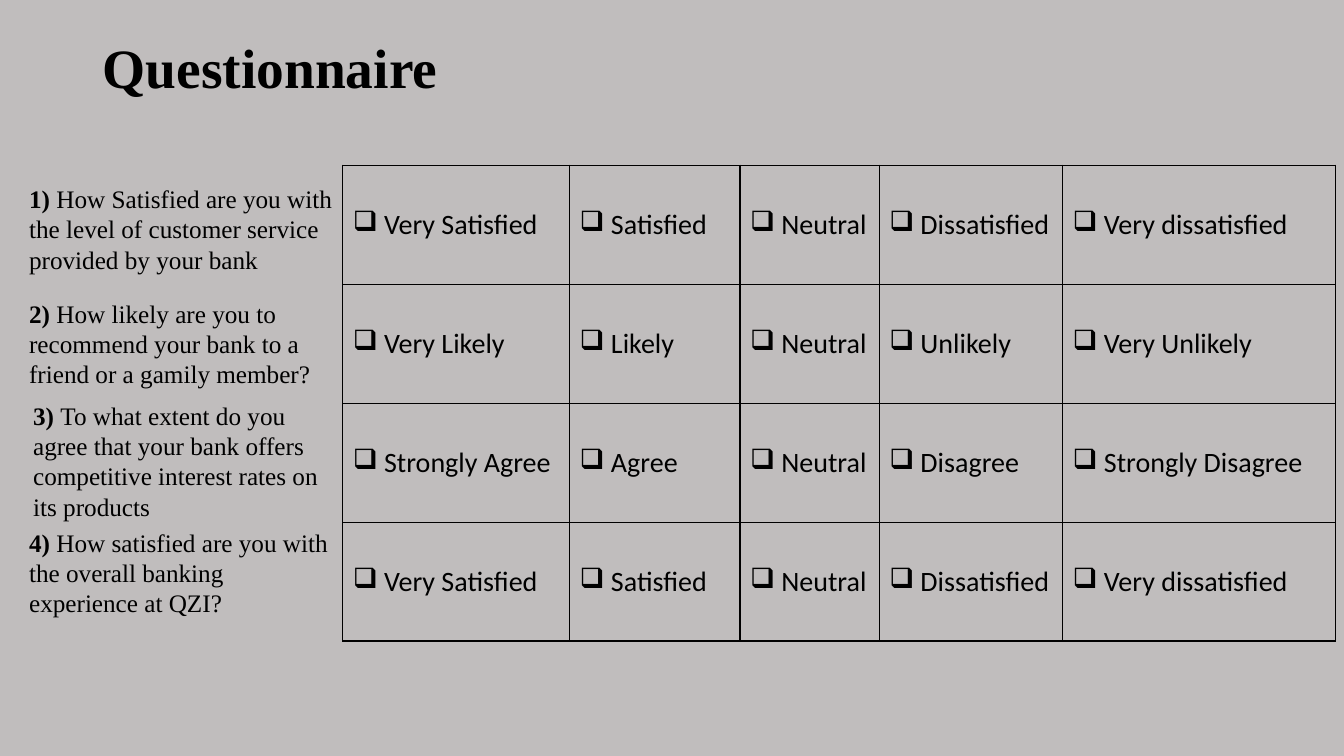
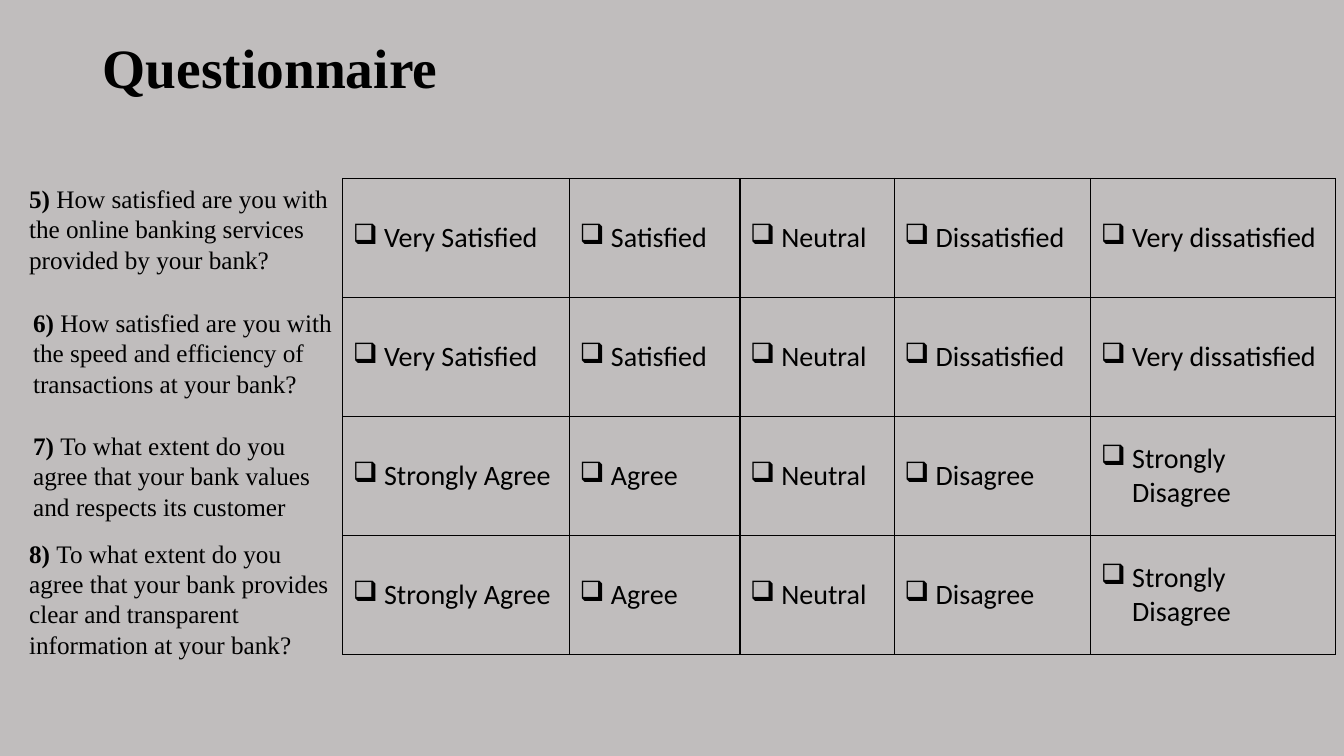
from dataclasses import dataclass

from lxml import etree
from pptx import Presentation
from pptx.dml.color import RGBColor
from pptx.enum import text
from pptx.oxml import ns
from pptx.util import Inches, Pt


@dataclass(frozen=True)
class Theme:
    background: RGBColor = RGBColor(0xC0, 0xBD, 0xBD)
    ink: RGBColor = RGBColor(0, 0, 0)
    serif: str = "Times New Roman"
    sans: str = "Calibri"
    title_size: float = 39.6
    question_size: float = 18
    answer_size: float = 20
    border_width: float = 1
    bullet: str = "❑"
    bullet_indent: float = 0.31


THEME = Theme()
TITLE_BOX = (0.92, 0.3, 3.75, 0.79)
QUESTION_WIDTH = 3.21
TABLE_LEFT = 3.4
ROW_HEIGHT = 1.18

SATISFACTION = ["Very Satisfied", "Satisfied", "Neutral", "Dissatisfied", "Very dissatisfied"]
LIKELIHOOD = ["Very Likely", "Likely", "Neutral", "Unlikely", "Very Unlikely"]
AGREEMENT = ["Strongly Agree", "Agree", "Neutral", "Disagree", "Strongly Disagree"]

# Each question: left, top, height, wording, answer scale
PAGES = [
    {
        "first_number": 1,
        "table_top": 1.64,
        "columns": [2.25, 1.69, 1.38, 1.82, 2.71],
        "questions": [
            (0.19, 1.77, 1.01, "How Satisfied are you with the level of customer service "
             "provided by your bank", SATISFACTION),
            (0.19, 2.91, 1.01, "How likely are you to recommend your bank to a friend "
             "or a gamily member?", LIKELIHOOD),
            (0.23, 3.92, 1.31, "To what extent do you agree that your bank offers "
             "competitive interest rates on its products", AGREEMENT),
            (0.19, 5.18, 1.01, "How satisfied are you with the overall banking "
             "experience at QZI?", SATISFACTION),
        ],
    },
    {
        "first_number": 5,
        "table_top": 1.77,
        "columns": [2.25, 1.69, 1.53, 1.95, 2.43],
        "questions": [
            (0.19, 1.77, 1.01, "How satisfied are you with the online banking services "
             "provided by your bank?", SATISFACTION),
            (0.23, 3, 1.01, "How satisfied are you with the speed and efficiency of "
             "transactions at your bank?", SATISFACTION),
            (0.23, 4.22, 1.01, "To what extent do you agree that your bank values and "
             "respects its customer", AGREEMENT),
            (0.19, 5.29, 1.31, "To what extent do you agree that your bank provides clear "
             "and transparent information at your bank?", AGREEMENT),
        ],
    },
]


def style_font(font, name, size):
    font.name = name
    font.size = Pt(size)
    font.color.rgb = THEME.ink


def add_text_box(slide, box):
    frame = slide.shapes.add_textbox(*map(Inches, box)).text_frame
    frame.word_wrap = True
    return frame


def add_title(slide, box, wording):
    frame = add_text_box(slide, box)
    frame.vertical_anchor = text.MSO_ANCHOR.MIDDLE
    paragraph = frame.paragraphs[0]
    paragraph.text = wording
    paragraph.line_spacing = 0.9
    style_font(paragraph.font, THEME.serif, THEME.title_size)
    paragraph.font.bold = True


def add_question(slide, box, number, wording):
    frame = add_text_box(slide, box)
    frame.auto_size = text.MSO_AUTO_SIZE.SHAPE_TO_FIT_TEXT
    paragraph = frame.paragraphs[0]
    style_font(paragraph.font, THEME.serif, THEME.question_size)
    number_run = paragraph.add_run()
    number_run.text = f"{number}) "
    number_run.font.bold = True
    paragraph.add_run().text = wording


def set_bullet(paragraph):
    properties = paragraph._p.get_or_add_pPr()
    indent = Inches(THEME.bullet_indent)
    properties.set("marL", str(indent))
    properties.set("indent", str(-indent))
    etree.SubElement(properties, ns.qn("a:buChar"), char=THEME.bullet)


def set_borders(cell):
    properties = cell._tc.get_or_add_tcPr()
    for side in ("lnL", "lnR", "lnT", "lnB"):
        line = etree.SubElement(properties, ns.qn(f"a:{side}"), w=str(Pt(THEME.border_width)))
        fill = etree.SubElement(line, ns.qn("a:solidFill"))
        etree.SubElement(fill, ns.qn("a:srgbClr"), val=str(THEME.ink))


def fill_answer(cell, wording):
    set_borders(cell)
    cell.fill.background()
    cell.vertical_anchor = text.MSO_ANCHOR.MIDDLE
    paragraph = cell.text_frame.paragraphs[0]
    paragraph.text = wording
    set_bullet(paragraph)
    style_font(paragraph.font, THEME.sans, THEME.answer_size)


def add_answer_table(slide, left, top, columns, scales):
    table = slide.shapes.add_table(
        len(scales), len(columns), Inches(left), Inches(top),
        Inches(sum(columns)), Inches(ROW_HEIGHT * len(scales))).table
    table.first_row = table.horz_banding = False
    for column, width in zip(table.columns, columns):
        column.width = Inches(width)
    for row, scale in zip(table.rows, scales):
        row.height = Inches(ROW_HEIGHT)
        for cell, answer in zip(row.cells, scale):
            fill_answer(cell, answer)


def add_questionnaire_slide(presentation, page):
    slide = presentation.slides.add_slide(presentation.slide_layouts[6])
    slide.background.fill.solid()
    slide.background.fill.fore_color.rgb = THEME.background
    add_title(slide, TITLE_BOX, "Questionnaire")
    for number, question in enumerate(page["questions"], page["first_number"]):
        left, top, height, wording, _ = question
        add_question(slide, (left, top, QUESTION_WIDTH, height), number, wording)
    scales = [question[-1] for question in page["questions"]]
    add_answer_table(slide, TABLE_LEFT, page["table_top"], page["columns"], scales)


def main():
    presentation = Presentation()
    presentation.slide_width = Inches(13.33)
    presentation.slide_height = Inches(7.5)
    for page in PAGES:
        add_questionnaire_slide(presentation, page)
    presentation.save("out.pptx")


if __name__ == "__main__":
    main()
